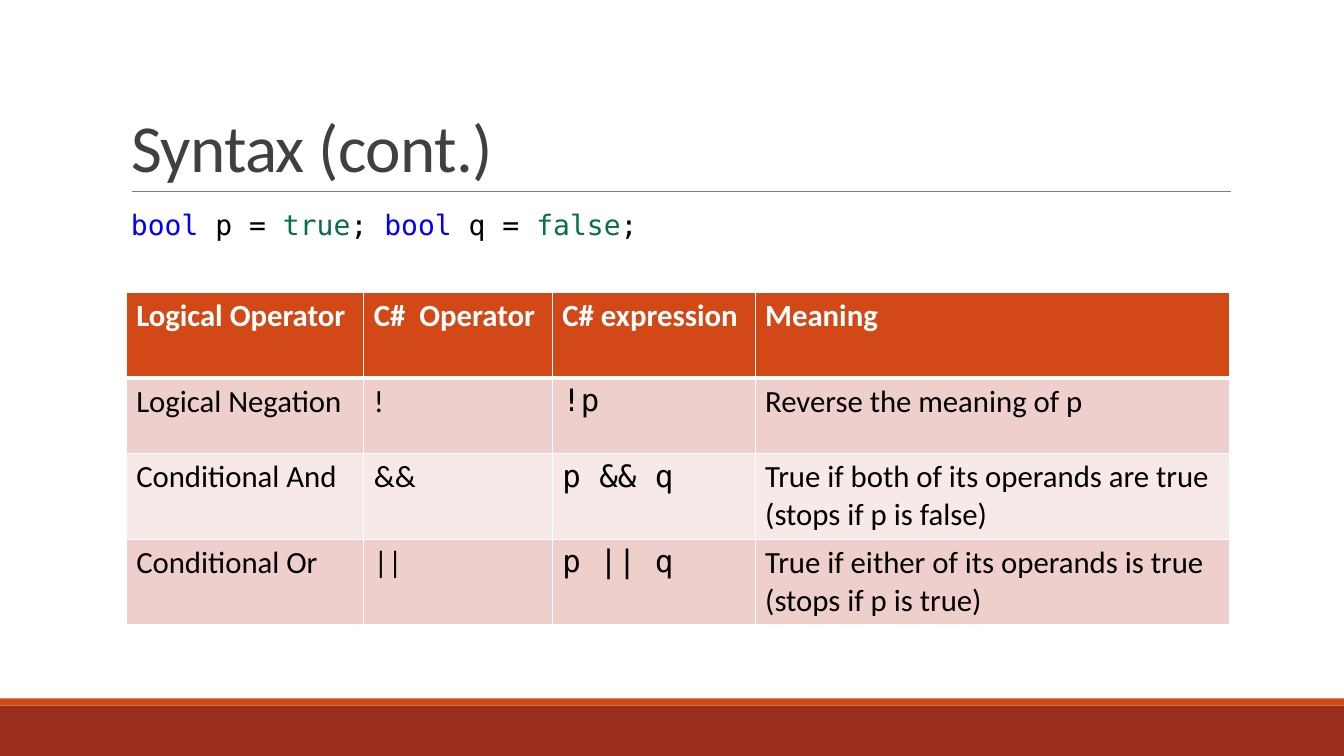
from dataclasses import dataclass

from lxml.etree import SubElement
from pptx import Presentation
from pptx.dml.color import RGBColor
from pptx.enum.shapes import MSO_CONNECTOR as Connector, MSO_SHAPE as Shape
from pptx.enum.text import MSO_ANCHOR as Anchor, MSO_AUTO_SIZE as AutoSize, PP_ALIGN as Align
from pptx.oxml.ns import qn
from pptx.slide import Slide
from pptx.table import _Cell as Cell
from pptx.text.text import _Run as Run
from pptx.util import Cm, Pt

COLORS = {
    "brick": "9B2D1F",
    "orange": "D34817",
    "gray": "808080",
    "title": "404040",
    "white": "FFFFFF",
    "black": "000000",
    "keyword": "0000FF",
    "literal": "07704A",
    "band_dark": "EFCFCC",
    "band_light": "F7E9E8",
}
SANS, MONO = "Calibri", "DejaVu Sans Mono"


@dataclass(frozen=True)
class Bar:
    top: float
    height: float
    color: str


@dataclass(frozen=True)
class Token:
    text: str
    color: str = "black"


BARS = [Bar(17.78, 1.27, "brick"), Bar(17.6, 0.18, "orange")]
CODE = [
    Token("bool", "keyword"),
    Token(" p = "),
    Token("true", "literal"),
    Token("; "),
    Token("bool", "keyword"),
    Token(" q = "),
    Token("false", "literal"),
    Token(";"),
]
COLUMN_WIDTHS = [5.99, 4.75, 5.11, 11.96]
ROW_HEIGHTS = [2.16, 1.9, 2.16, 2.16]
EXPRESSION_COLUMN = 2
OPERATORS = [
    ["Logical Operator", "C#  Operator", "C# expression", "Meaning"],
    ["Logical Negation", "!", "!p", "Reverse the meaning of p"],
    ["Conditional And", "&&", "p && q", "True if both of its operands are true (stops if p is false)"],
    ["Conditional Or", "||", "p || q", "True if either of its operands is true (stops if p is true)"],
]


def rgb(name: str) -> RGBColor:
    return RGBColor.from_string(COLORS[name])


def style_run(span: Run, size: float, color: str, font: str = SANS, bold: bool = False) -> None:
    span.font.name = font
    span.font.size = Pt(size)
    span.font.bold = bold
    span.font.color.rgb = rgb(color)


def add_bar(page: Slide, bar: Bar, width: int) -> None:
    box = page.shapes.add_shape(Shape.RECTANGLE, 0, Cm(bar.top), width, Cm(bar.height))
    box.shadow.inherit = False
    box.fill.solid()
    box.fill.fore_color.rgb = rgb(bar.color)
    box.line.fill.background()


def add_rule(page: Slide) -> None:
    rule = page.shapes.add_connector(Connector.STRAIGHT, Cm(3.33), Cm(4.83), Cm(31.01), Cm(4.83))
    rule.line.color.rgb = rgb("gray")
    rule.line.width = Pt(0.5)
    SubElement(rule._element.spPr, qn("a:effectLst"))


def fill_title(page: Slide, text: str) -> None:
    title = page.shapes.title
    title.left, title.top, title.width, title.height = Cm(3.05), Cm(0.79), Cm(27.94), Cm(4.04)
    frame = title.text_frame
    frame.text = text
    frame.auto_size = AutoSize.NONE
    frame.vertical_anchor = Anchor.BOTTOM
    para = frame.paragraphs[0]
    para.alignment = Align.LEFT
    para.line_spacing = 0.85
    span = para.runs[0]
    style_run(span, 48, "title")
    span.font._element.set("spc", "-50")


def add_code(page: Slide, tokens: list[Token]) -> None:
    box = page.shapes.add_textbox(Cm(3.05), Cm(5.11), Cm(14.48), Cm(1.96))
    box.text_frame.word_wrap = True
    para = box.text_frame.paragraphs[0]
    for token in tokens:
        span = para.add_run()
        span.text = token.text
        style_run(span, 20, token.color, MONO)


def add_borders(cell: Cell, top: float, bottom: float) -> None:
    properties = cell._tc.get_or_add_tcPr()
    for side, width in {"L": 1, "R": 1, "T": top, "B": bottom}.items():
        line = SubElement(properties, qn(f"a:ln{side}"), w=str(Pt(width)))
        fill = SubElement(line, qn("a:solidFill"))
        SubElement(fill, qn("a:srgbClr"), val=COLORS["white"])


def fill_cell(cell: Cell, text: str, row: int, column: int) -> None:
    header = row == 0
    add_borders(cell, 3 if row == 1 else 1, 3 if header else 1)
    cell.fill.solid()
    band = "band_dark" if row % 2 else "band_light"
    cell.fill.fore_color.rgb = rgb("orange" if header else band)
    cell.text_frame.text = text
    font = MONO if column == EXPRESSION_COLUMN and not header else SANS
    span = cell.text_frame.paragraphs[0].runs[0]
    style_run(span, 22, "white" if header else "black", font, header)


def add_operator_table(page: Slide) -> None:
    table = page.shapes.add_table(
        len(OPERATORS), len(COLUMN_WIDTHS), Cm(3.18), Cm(7.37),
        Cm(sum(COLUMN_WIDTHS)), Cm(sum(ROW_HEIGHTS)),
    ).table
    for column, width in zip(table.columns, COLUMN_WIDTHS):
        column.width = Cm(width)
    for row, height in zip(table.rows, ROW_HEIGHTS):
        row.height = Cm(height)
    for row_index, texts in enumerate(OPERATORS):
        for column_index, text in enumerate(texts):
            fill_cell(table.cell(row_index, column_index), text, row_index, column_index)


def main() -> None:
    deck = Presentation()
    deck.slide_width, deck.slide_height = Cm(33.87), Cm(19.05)
    page = deck.slides.add_slide(deck.slide_layouts.get_by_name("Title Only"))
    for bar in BARS:
        add_bar(page, bar, deck.slide_width)
    add_rule(page)
    fill_title(page, "Syntax (cont.)")
    add_operator_table(page)
    add_code(page, CODE)
    deck.save("out.pptx")


if __name__ == "__main__":
    main()
